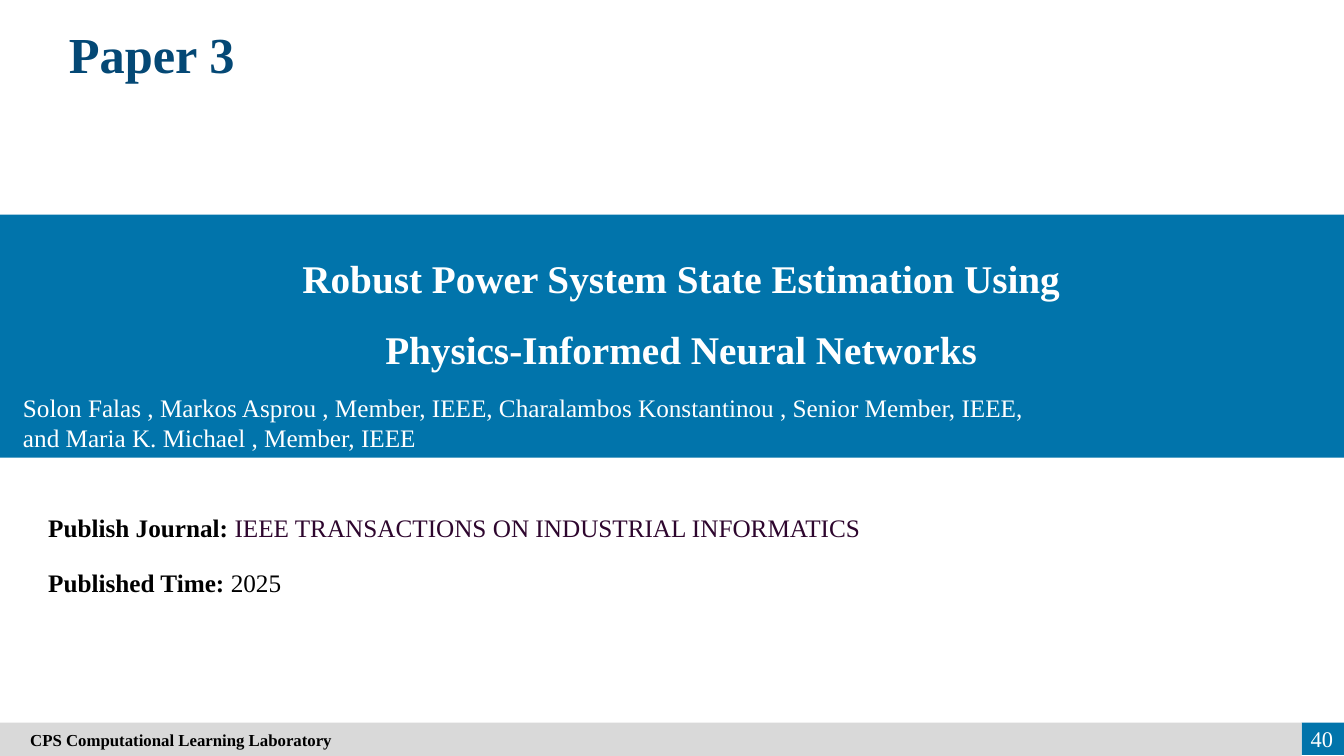
import pptx
import pptx.util
import pptx.dml.color
import pptx.enum.shapes
import pptx.enum.text
from dataclasses import dataclass

Inches = pptx.util.Inches
ALIGN = pptx.enum.text.PP_ALIGN
MIDDLE = pptx.enum.text.MSO_ANCHOR.MIDDLE


@dataclass(frozen=True)
class Theme:
    font: str = "Times New Roman"
    blue: str = "0174AB"
    navy: str = "044875"
    grey: str = "D9D9D9"
    white: str = "FFFFFF"
    black: str = "000000"
    plum: str = "2E062E"
    title: int = 36
    paper: int = 28
    body: int = 18
    number: int = 16
    footer: int = 12


class PaperSlide:
    def __init__(self, deck, theme):
        self.theme = theme
        self.slide = deck.slides.add_slide(deck.slide_layouts[6])

    def band(self, box, color):
        shape = self.slide.shapes.add_shape(
            pptx.enum.shapes.MSO_SHAPE.RECTANGLE, *map(Inches, box))
        shape.shadow.inherit = False
        shape.fill.solid()
        shape.fill.fore_color.rgb = pptx.dml.color.RGBColor.from_string(color)
        shape.line.fill.background()
        return shape

    def text(self, box, lines, frame_format=None, line_format=None):
        frame = self.slide.shapes.add_textbox(*map(Inches, box)).text_frame
        self.fill_frame(frame, lines, frame_format, line_format)

    def fill_frame(self, frame, lines, frame_format=None, line_format=None):
        self.apply(frame, {"word_wrap": True, **(frame_format or {})})
        for index, line in enumerate(lines):
            paragraph = frame.add_paragraph() if index else frame.paragraphs[0]
            self.apply(paragraph, {"alignment": ALIGN.LEFT, **(line_format or {})})
            for words, size, color, bold in line:
                run = paragraph.add_run()
                run.text = words
                self.apply(run.font, {"name": self.theme.font,
                                      "size": pptx.util.Pt(size), "bold": bold})
                run.font.color.rgb = pptx.dml.color.RGBColor.from_string(color)

    @staticmethod
    def apply(target, values):
        for key, value in values.items():
            setattr(target, key, value)


def main():
    deck = pptx.Presentation()
    deck.slide_width, deck.slide_height = Inches(13.33), Inches(7.5)
    theme = Theme()
    page = PaperSlide(deck, theme)

    page.band((0, 2.13, 13.35, 2.41), theme.blue)
    paper_title = ("Robust Power System State Estimation Using",
                   "Physics-Informed Neural Networks")
    page.text((0.08, 2.28, 13.35, 1.43),
              [[(line, theme.paper, theme.white, True)] for line in paper_title],
              {"vertical_anchor": MIDDLE},
              {"alignment": ALIGN.CENTER, "line_spacing": 1.5})

    page.text((0.38, 0.18, 2.25, 0.71),
              [[("Paper 3", theme.title, theme.navy, True)]],
              line_format={"alignment": ALIGN.CENTER})

    page.band((12.91, 7.17, 0.42, 0.32), theme.blue)
    footer = page.band((0, 7.17, 12.91, 0.33), theme.grey)
    page.fill_frame(footer.text_frame,
                    [[("CPS Computational Learning Laboratory",
                       theme.footer, theme.black, True)]],
                    {"vertical_anchor": MIDDLE, "margin_left": Inches(0.3)})
    page.text((12.69, 7.13, 0.63, 0.4),
              [[("40", theme.number, theme.white, False)]],
              {"vertical_anchor": MIDDLE}, {"alignment": ALIGN.RIGHT})

    authors = ("Solon Falas , Markos Asprou , Member, IEEE, "
               "Charalambos Konstantinou , Senior Member, IEEE,",
               "and Maria K. Michael , Member, IEEE")
    page.text((0.13, 3.84, 12.53, 0.71),
              [[(line, theme.body, theme.white, False)] for line in authors])

    publication = (
        (5.03, 10.69, "Publish Journal: ",
         "IEEE TRANSACTIONS ON INDUSTRIAL INFORMATICS", theme.plum),
        (5.58, 6.38, "Published Time: ", "2025", theme.black),
    )
    for top, width, label, detail, color in publication:
        page.text((0.38, top, width, 0.4),
                  [[(label, theme.body, theme.black, True),
                    (detail, theme.body, color, False)]])

    deck.save("out.pptx")


if __name__ == "__main__":
    main()
